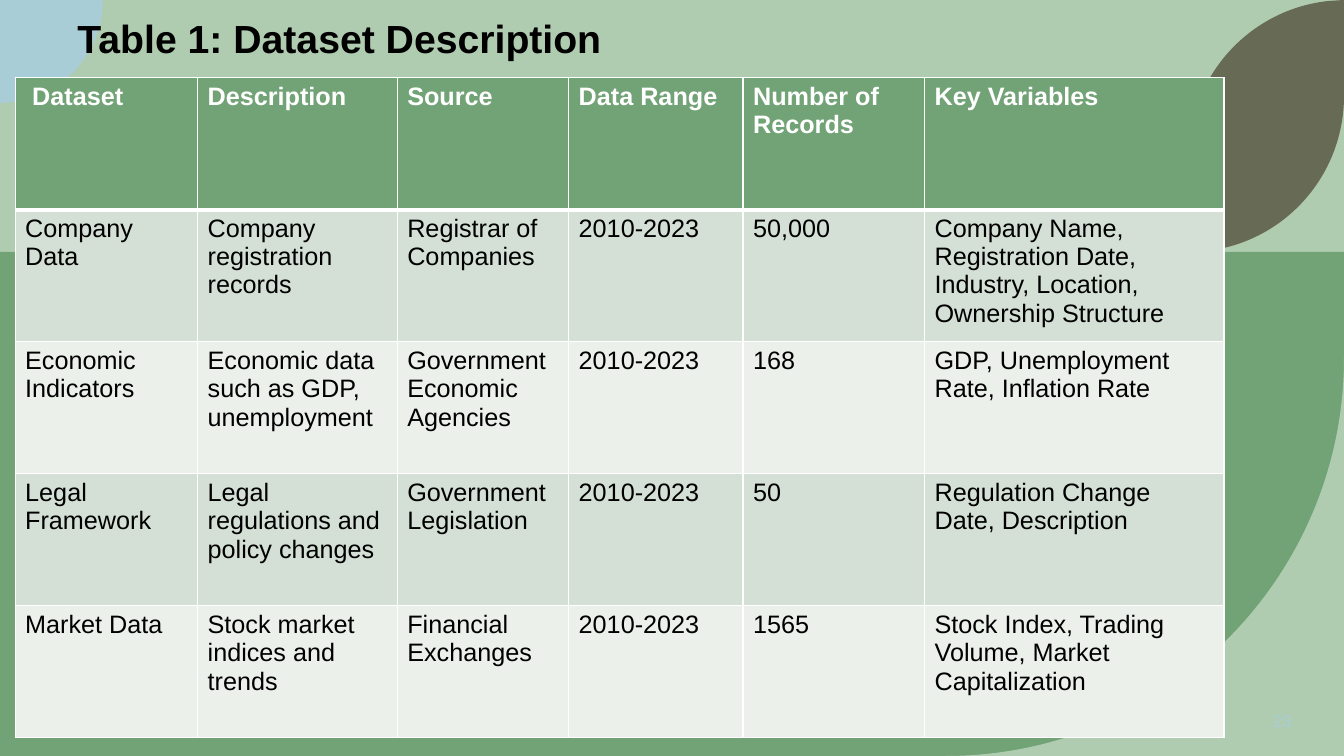
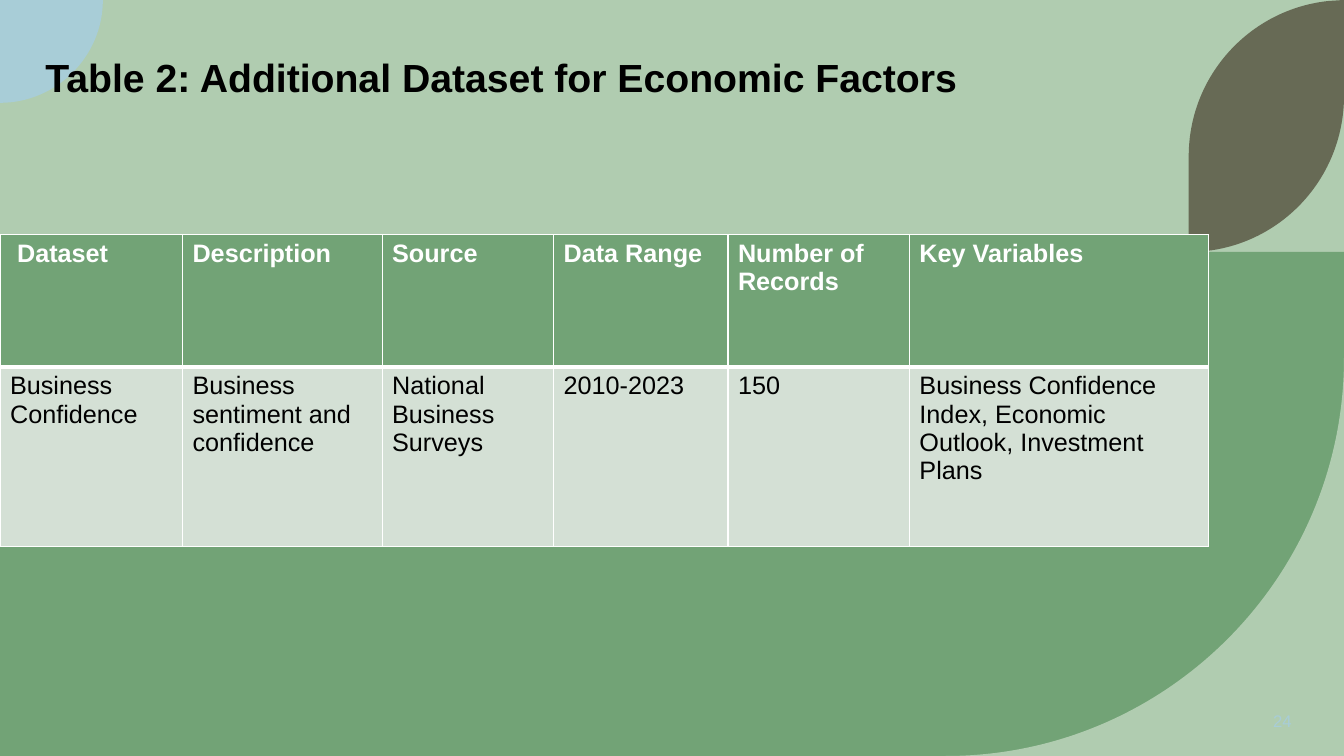
from lxml import etree
from pptx import Presentation
from pptx.dml.color import RGBColor
from pptx.enum.shapes import MSO_SHAPE
from pptx.enum.text import PP_ALIGN
from pptx.oxml.ns import qn
from pptx.util import Inches, Pt

RECT = MSO_SHAPE.RECTANGLE
LEFT, CENTER = PP_ALIGN.LEFT, PP_ALIGN.CENTER
WIDTH, HEIGHT, HORIZON = 13.33, 7.5, 2.5
COLORS = {
    "sage": "B0CCB0", "green": "72A376", "blue": "A8CDD7", "olive": "676A55",
    "band": "D4E0D5", "pale": "EBF0EB", "white": "FFFFFF", "black": "000000",
}
CORNER = [[(WIDTH, 3.55)], [(WIDTH, 5.73), (11.56, HEIGHT), (9.38, HEIGHT)],
          [(WIDTH, HEIGHT)]]
QUARTER = [[(0, 0)], [(1.02, 0)], [(1.02, 0.56), (0.56, 1.02), (0, 1.02)]]
LEAF = [[(WIDTH, 0)], [(WIDTH, 0.95)],
        [(WIDTH, 1.81), (12.64, HORIZON), (11.79, HORIZON)],
        [(11.79, 1.55)], [(11.79, 0.75), (12.4, 0.09), (13.18, 0.01)]]
COLUMNS = [1.81, 1.98, 1.7, 1.73, 1.8, 2.97]
HEADER = [" Dataset", "Description", "Source", "Data Range",
          "Number of Records", "Key Variables"]
DATASETS = [
    ["Company Data", "Company registration records", "Registrar of Companies",
     "2010-2023", "50,000",
     "Company Name, Registration Date, Industry, Location, Ownership Structure"],
    ["Economic Indicators", "Economic data such as GDP, unemployment",
     "Government Economic Agencies", "2010-2023", "168",
     "GDP, Unemployment Rate, Inflation Rate"],
    ["Legal Framework", "Legal regulations and policy changes",
     "Government Legislation", "2010-2023", "50",
     "Regulation Change Date, Description"],
    ["Market Data", "Stock market indices and trends", "Financial Exchanges",
     "2010-2023", "1565", "Stock Index, Trading Volume, Market Capitalization"],
]
FACTORS = [
    ["Business Confidence", "Business sentiment and confidence",
     "National Business Surveys", "2010-2023", "150",
     "Business Confidence Index, Economic Outlook, Investment Plans"],
]


def rgb(name):
    return RGBColor.from_string(COLORS[name])


class Deck:
    """Holds the shared style and the current slide."""

    font = "Arial"

    def __init__(self):
        self.prs = Presentation()
        self.prs.slide_width = Inches(WIDTH)
        self.prs.slide_height = Inches(HEIGHT)

    def slide(self, number):
        self.s = self.prs.slides.add_slide(self.prs.slide_layouts[6])
        self.s.background.fill.solid()
        self.s.background.fill.fore_color.rgb = rgb("sage")
        ground = self.s.shapes.add_shape(
            RECT, 0, Inches(HORIZON), Inches(WIDTH), Inches(HEIGHT - HORIZON))
        self.paint(ground, "green")
        self.outline(CORNER, "sage")
        self.outline(QUARTER, "blue")
        self.outline(LEAF, "olive")
        self.text(number, 12.42, 7, 0.6, 0.35, 12, "blue", CENTER)

    def paint(self, sp, color):
        sp.shadow.inherit = False
        sp.fill.solid()
        sp.fill.fore_color.rgb = rgb(color)
        sp.line.fill.background()

    def outline(self, segments, color):
        points = [(Inches(x), Inches(y)) for segment in segments for x, y in segment]
        builder = self.s.shapes.build_freeform(*points[0])
        builder.add_line_segments(points[1:], close=True)
        sp = builder.convert_to_shape()
        lines = iter(list(sp._element.iter(qn("a:lnTo"))))
        for segment in segments[1:]:
            parts = [next(lines) for _ in segment]
            if len(parts) == 3:
                parts[0].tag = qn("a:cubicBezTo")
                for part in parts[1:]:
                    parts[0].append(part[0])
                    part.getparent().remove(part)
        self.paint(sp, color)

    def run(self, p, text, size, color, bold=False):
        r = p.add_run()
        r.text = text
        r.font.name, r.font.size, r.font.bold = self.font, Pt(size), bold
        r.font.color.rgb = rgb(color)

    def text(self, text, x, y, w, h, size, color, align=LEFT, bold=False):
        tf = self.s.shapes.add_textbox(Inches(x), Inches(y), Inches(w), Inches(h)).text_frame
        tf.word_wrap = True
        p = tf.paragraphs[0]
        p.alignment = align
        self.run(p, text, size, color, bold)

    def title(self, text, x, y, w, h, align=LEFT):
        self.text(text, x, y, w, h, 28, "black", align, True)

    def border(self, cell, side, width):
        tcPr = cell._tc.get_or_add_tcPr()
        ln = etree.SubElement(tcPr, qn(f"a:ln{side}"), w=str(Pt(width)))
        fill = etree.SubElement(ln, qn("a:solidFill"))
        etree.SubElement(fill, qn("a:srgbClr"), val=COLORS["white"])

    def table(self, rows, x, y, heights):
        rows = [HEADER] + rows
        table = self.s.shapes.add_table(
            len(rows), len(COLUMNS), Inches(x), Inches(y),
            Inches(sum(COLUMNS)), Inches(sum(heights))).table
        for column, width in zip(table.columns, COLUMNS):
            column.width = Inches(width)
        for i, (values, height) in enumerate(zip(rows, heights)):
            table.rows[i].height = Inches(height)
            head = i == 0
            fill = "green" if head else ("pale", "band")[i % 2]
            for j, value in enumerate(values):
                cell = table.cell(i, j)
                for side in "LRTB" if head else "LRB":
                    self.border(cell, side, 3 if head and side == "B" else 1)
                cell.fill.solid()
                cell.fill.fore_color.rgb = rgb(fill)
                self.run(cell.text_frame.paragraphs[0], value, 18,
                         "white" if head else "black", head)


def main():
    deck = Deck()
    deck.slide("23")
    deck.title("Table 1: Dataset Description", 0.67, 0.09, 5.46, 0.57)
    deck.table(DATASETS, 0.15, 0.77, [1.31] * 5)
    deck.slide("24")
    deck.title("Table 2: Additional Dataset for Economic Factors",
               0.16, 0.48, 9.62, 1.04, CENTER)
    deck.table(FACTORS, 0, 2.33, [1.31, 1.78])
    deck.prs.save("out.pptx")


if __name__ == "__main__":
    main()
